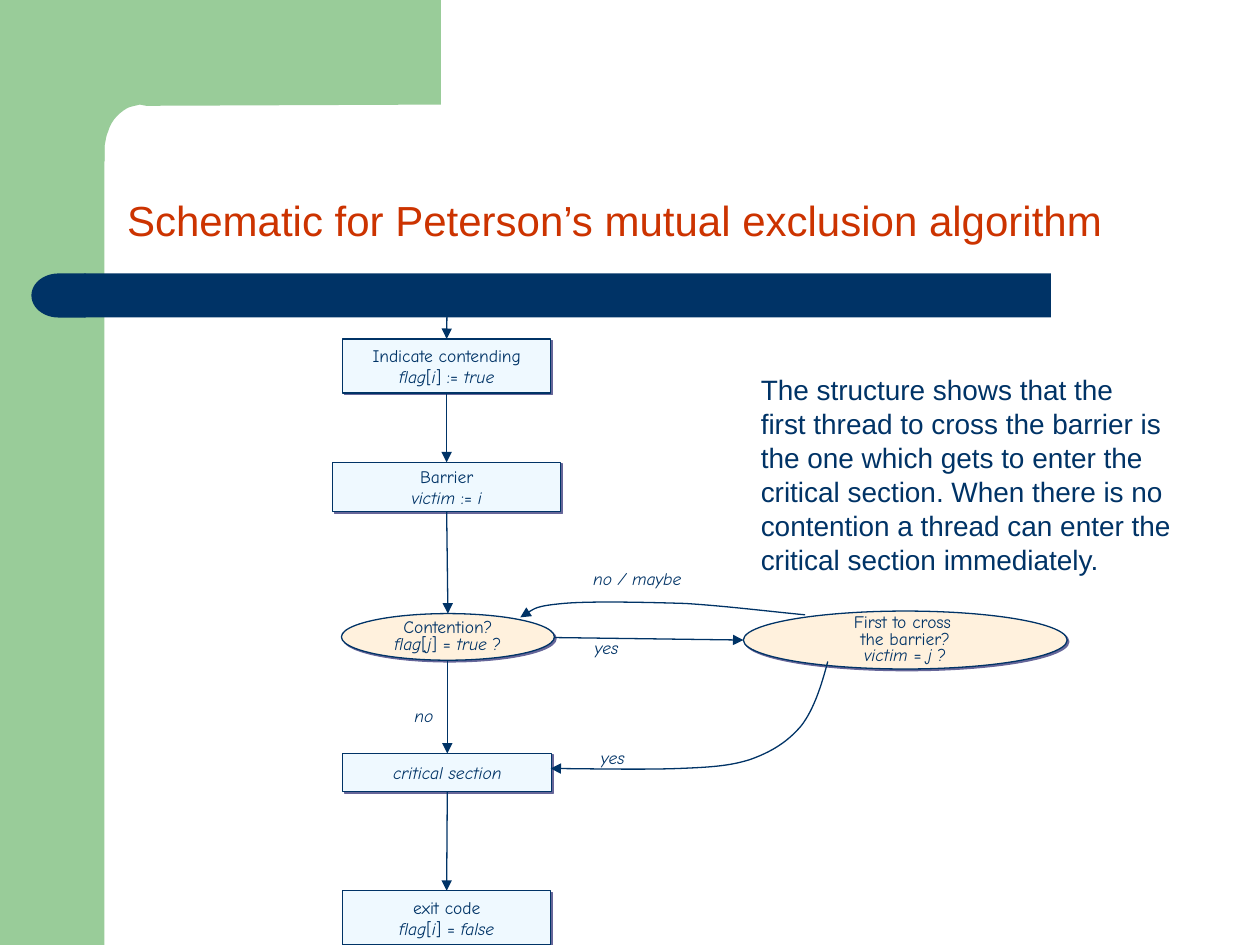
import pptx
import pptx.dml.color
import pptx.enum.shapes
import pptx.enum.text
import pptx.oxml
import pptx.oxml.ns
import pptx.util
from pptx.util import Inches

RGBColor = pptx.dml.color.RGBColor
KIND = pptx.enum.shapes.MSO_SHAPE
ANCHOR = pptx.enum.text.MSO_ANCHOR
qn = pptx.oxml.ns.qn

NAVY = RGBColor(0x00, 0x33, 0x66)
GREEN = RGBColor(0x99, 0xCC, 0x99)
RED = RGBColor(0xCC, 0x33, 0x00)
ICE = RGBColor(0xEF, 0xF9, 0xFF)
CREAM = RGBColor(0xFF, 0xF1, 0xDD)
SHADE = RGBColor(0x66, 0x66, 0x99)


def add_tag(parent, tag, **attrs):
    """Append a drawing element with the given attributes."""
    node = pptx.oxml.parse_xml(f"<a:{tag} {pptx.oxml.ns.nsdecls('a')}/>")
    for name, value in attrs.items():
        node.set(name, str(value))
    parent.append(node)
    return node


def style_runs(para, font, size, color):
    """Give every run of a paragraph one font, size and colour."""
    for run in para.runs:
        run.font.name = font
        run.font.size = pptx.util.Pt(size)
        run.font.color.rgb = color


def write_lines(frame, lines, spacing=None):
    """Write diagram lines, in which asterisks enclose italic words."""
    for index, line in enumerate(lines):
        para = frame.add_paragraph() if index else frame.paragraphs[0]
        for part, words in enumerate(line.split("*")):
            if words:
                run = para.add_run()
                run.text = words
                run.font.italic = part % 2 == 1
        if spacing:
            para.line_spacing = spacing
        style_runs(para, "Comic Neue", 10, NAVY)


def add_block(slide, kind, box, fill):
    """Add a plain filled shape."""
    shape = slide.shapes.add_shape(kind, *map(Inches, box))
    shape.shadow.inherit = False
    shape.fill.solid()
    shape.fill.fore_color.rgb = fill
    shape.line.fill.background()
    return shape


def set_arrow(line):
    """Give a line its navy stroke and an end arrowhead."""
    line.color.rgb = NAVY
    line.width = pptx.util.Pt(0.75)
    add_tag(line._get_or_add_ln(), "tailEnd", type="triangle")


def add_outline(slide, left, top, start, steps, close):
    """Draw an outline whose steps are single points or cubic triples."""
    def spot(point):
        return Inches(left + point[0]), Inches(top + point[1])

    builder = slide.shapes.build_freeform(*spot(start))
    builder.add_line_segments([spot(p) for step in steps for p in step], close=close)
    shape = builder.convert_to_shape()
    shape.shadow.inherit = False
    legs = iter(list(shape.element.iter(qn("a:lnTo"))))
    for step in steps:
        group = [next(legs) for _ in step]
        if len(group) == 3:
            curve = pptx.oxml.parse_xml(f"<a:cubicBezTo {pptx.oxml.ns.nsdecls('a')}/>")
            group[0].addprevious(curve)
            for leg in group:
                curve.append(leg[0])
                leg.getparent().remove(leg)
    return shape


def add_frame(slide, left, top):
    """Draw the green corner and the navy bar."""
    add_block(slide, KIND.RECTANGLE, (left, top, 0.83, 7.5), GREEN)
    steps = [
        [(3.5, 0.83)], [(1.16, 0.84)], [(1.11, 0.83)], [(1.03, 0.85)],
        [(1, 0.86), (0.96, 0.89), (0.93, 0.92)],
        [(0.9, 0.95), (0.87, 1), (0.86, 1.04)],
        [(0.84, 1.08), (0.84, 1.12), (0.83, 1.16)],
        [(0.83, 1.28)], [(0.5, 1.28)], [(0.5, 0)],
    ]
    corner = add_outline(slide, left, top, (3.5, 0), steps, True)
    corner.fill.solid()
    corner.fill.fore_color.rgb = GREEN
    corner.line.fill.background()
    add_block(slide, KIND.RECTANGLE, (left + 0.67, top + 2.17, 7.67, 0.35), NAVY)
    cap = add_block(slide, KIND.FLOWCHART_DELAY, (left + 0.25, top + 2.17, 0.43, 0.35), NAVY)
    cap.element.spPr.xfrm.set("flipH", "1")


def add_title(slide, left, top, width, height):
    """Write the slide title."""
    frame = slide.shapes.add_textbox(*map(Inches, (left, top, width, height))).text_frame
    frame.word_wrap = True
    frame.vertical_anchor = ANCHOR.BOTTOM
    frame.margin_bottom = Inches(0.46)
    frame.text = "Schematic for Peterson’s mutual exclusion algorithm"
    frame.paragraphs[0].line_spacing = 0.9
    style_runs(frame.paragraphs[0], "Arial", 24, RED)


def add_notes(slide, left, top, width, height):
    """Write the explanation beside the flow chart."""
    frame = slide.shapes.add_textbox(*map(Inches, (left, top, width, height))).text_frame
    frame.word_wrap = True
    frame.text = "\n".join([
        "The structure shows that the",
        "first thread to cross the barrier is",
        "the one which gets to enter the",
        "critical section. When there is no",
        "contention a thread can enter the",
        "critical section immediately.",
    ])
    for index, para in enumerate(frame.paragraphs):
        props = para._p.get_or_add_pPr()
        props.set("marL", str(Inches(0.38)))
        props.set("indent", str(-Inches(0.38)))
        para.line_spacing = 0.8
        para.space_before = pptx.util.Pt(4 if index else 0)
        style_runs(para, "Arial", 16, NAVY)


def add_node(slide, box, lines, oval=False):
    """Add a step box or a question oval with its hard shadow."""
    kind, fill = (KIND.OVAL, CREAM) if oval else (KIND.RECTANGLE, ICE)
    shape = add_block(slide, kind, box, fill)
    shape.line.color.rgb = NAVY
    shape.line.width = pptx.util.Pt(0.75)
    effects = shape.element.spPr.find(qn("a:effectLst"))
    cast = add_tag(effects, "outerShdw", dist=pptx.util.Pt(1.4), dir=2700000, algn="ctr", rotWithShape=0)
    add_tag(cast, "srgbClr", val=SHADE)
    frame = shape.text_frame
    frame.word_wrap = False
    frame.vertical_anchor = ANCHOR.MIDDLE
    write_lines(frame, lines, 0.8 if oval else None)
    for para in frame.paragraphs:
        para.alignment = pptx.enum.text.PP_ALIGN.CENTER
    return shape


def add_link(slide, start, end, source=None, target=None):
    """Add an arrow, joined to the bottom of source and the top of target."""
    link = slide.shapes.add_connector(
        pptx.enum.shapes.MSO_CONNECTOR.STRAIGHT, *map(Inches, (*start, *end)))
    if source:
        link.begin_connect(source, 2)
    if target:
        link.end_connect(target, 0)
    set_arrow(link.line)
    add_tag(link.element.spPr, "effectLst")


def add_flow(slide, left, top):
    """Draw the flow chart with its arrows and labels."""
    nodes = [
        ((0.22, 0.44, 1.65, 0.43), ["Indicate contending", "*flag*[*i*] :=* true*"], False),
        ((0.14, 1.42, 1.81, 0.39), ["Barrier", "*victim *:=* i*"], False),
        ((0.21, 2.62, 1.69, 0.37), ["Contention?", "*flag*[*j*] =* true *?"], True),
        ((0.22, 3.73, 1.66, 0.3), ["*critical section*"], False),
        ((0.22, 4.82, 1.65, 0.43), ["exit code", "*flag*[*i*] =* false*"], False),
        ((3.4, 2.6, 2.57, 0.46), ["First to cross ", "the barrier?", "*victim *=* j *?"], True),
    ]
    begin, gate, ask, core, leave, _ = [
        add_node(slide, (left + x, top + y, w, h), lines, oval)
        for (x, y, w, h), lines, oval in nodes]
    mid = left + 1.05
    add_link(slide, (left + 1.9, top + 2.81), (left + 3.4, top + 2.83))
    curves = [
        ((4.07, 3), [[(4.02, 3.19), (3.96, 3.38), (3.86, 3.51)],
                     [(3.75, 3.64), (3.62, 3.72), (3.45, 3.78)],
                     [(3.29, 3.83), (3.14, 3.84), (2.88, 3.85)],
                     [(2.61, 3.86), (2.04, 3.85), (1.87, 3.85)]]),
        ((3.89, 2.63), [[(3.58, 2.6), (3.26, 2.56), (2.94, 2.54)],
                        [(2.62, 2.53), (2.18, 2.52), (1.97, 2.54)],
                        [(1.75, 2.56), (1.69, 2.61), (1.63, 2.65)]]),
    ]
    for start, steps in curves:
        curve = add_outline(slide, left, top, start, steps, False)
        curve.fill.background()
        set_arrow(curve.line)
    add_link(slide, (mid, top + 0.01), (mid, top + 0.44), target=begin)
    add_link(slide, (mid, top + 2.99), (mid, top + 3.73), target=core)
    for source, target in [(begin, gate), (gate, ask), (core, leave)]:
        add_link(slide, (mid, top), (mid, top), source, target)
    labels = [("yes", 2.12, 2.76, 0.39), ("yes", 2.17, 3.63, 0.39),
              ("no / maybe", 2.11, 2.21, 0.9), ("no", 0.69, 3.3, 0.35)]
    for words, x, y, width in labels:
        box = slide.shapes.add_textbox(*map(Inches, (left + x, top + y, width, 0.27)))
        box.text_frame.word_wrap = False
        write_lines(box.text_frame, [f"*{words}*"])


def main():
    """Build the slide and save it."""
    deck = pptx.Presentation()
    deck.slide_width, deck.slide_height = Inches(10), Inches(7.5)
    slide = deck.slides.add_slide(deck.slide_layouts[6])
    add_frame(slide, 0, 0)
    add_title(slide, 0.91, 1.32, 8.51, 1.09)
    add_flow(slide, 2.5, 2.25)
    add_notes(slide, 5.94, 2.96, 3.53, 2.68)
    deck.save("out.pptx")


if __name__ == "__main__":
    main()
